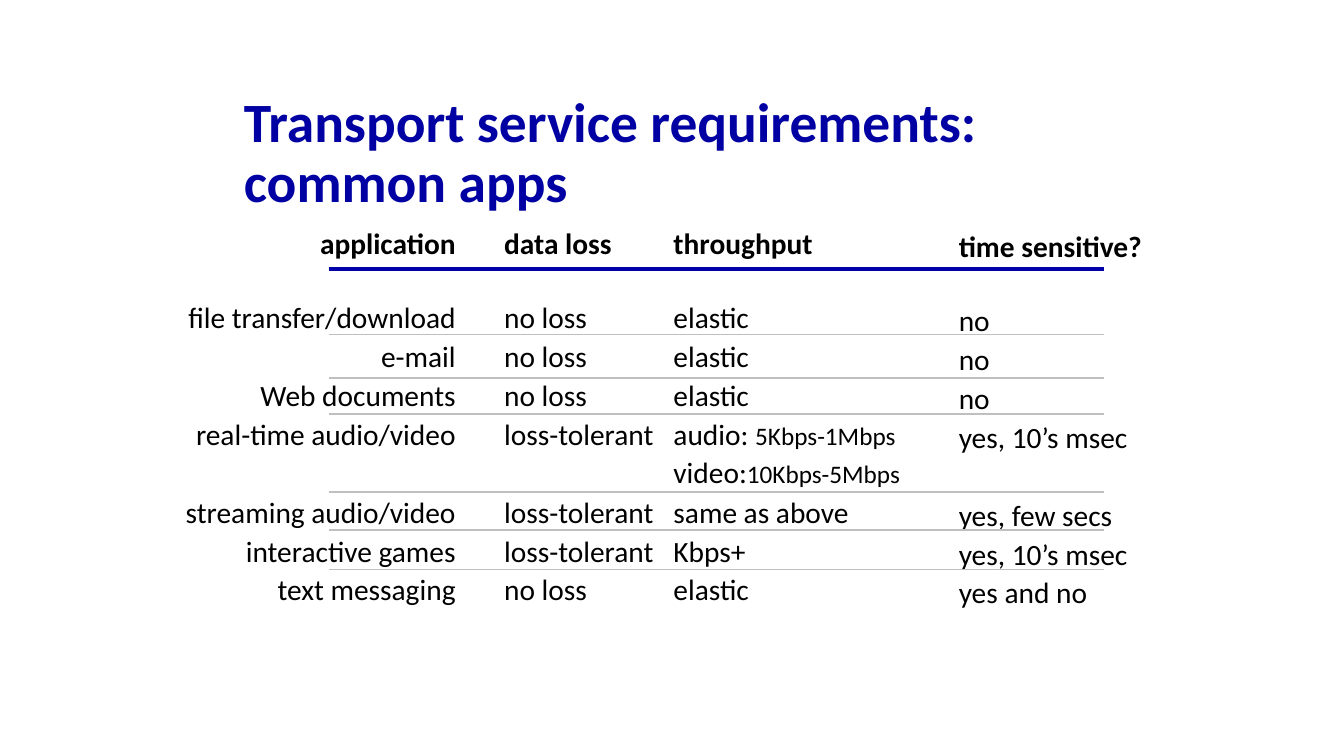
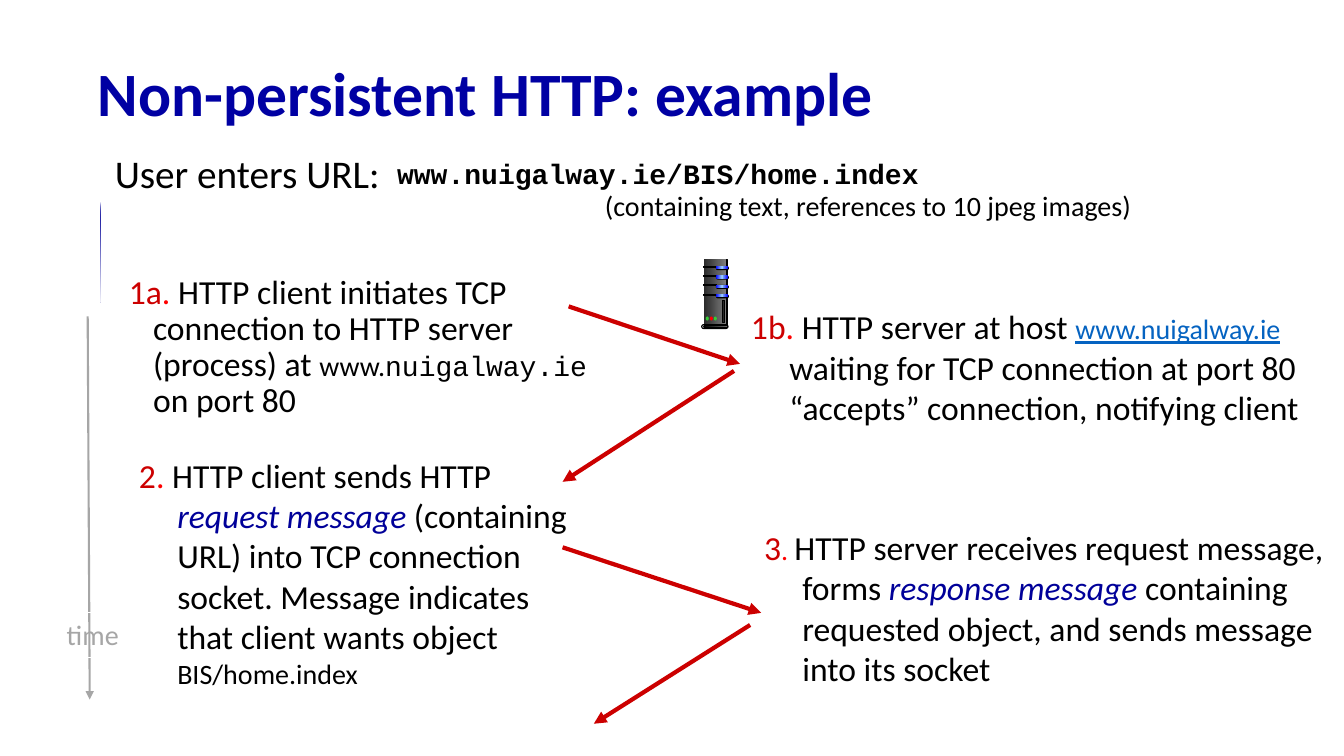
from lxml.etree import SubElement
from pptx import Presentation
from pptx.dml.color import RGBColor
from pptx.enum.shapes import MSO_CONNECTOR, MSO_SHAPE
from pptx.enum.text import MSO_ANCHOR, PP_ALIGN
from pptx.oxml.ns import qn
from pptx.util import Inches, Pt

COLORS = {
    "title": "0000A3", "rule": "0000A8", "row_rule": "BFBFBF", "text": "000000",
    "time": "A6A6A6", "white": "FFFFFF", "step": "CC0000", "dot": "FF0000",
    "term": "000099", "link": "0563C1", "dark": "292929", "edge": "333333",
    "middle": "808080", "light": "DDDDDD", "shine": "F8F8F8",
    "lamp": "0000FF", "lamp_shine": "99CCFF", "green": "33CC33",
}
BASE_FONT = {"name": "Calibri", "size": 24, "color": "text"}
STYLES = {
    "body": {},
    "title": {"size": 44, "bold": True, "color": "title"},
    "long_title": {"size": 39.6, "bold": True, "color": "title"},
    "header": {"size": 21, "bold": True},
    "cell": {"size": 21},
    "rate": {"size": 18},
    "lead": {"size": 28},
    "small": {"size": 20},
    "code": {"size": 20, "name": "Courier New"},
    "url": {"size": 20, "name": "Courier New", "bold": True},
    "link": {"size": 20, "color": "link", "underline": True},
    "step": {"color": "step"},
    "dot": {"color": "dot"},
    "small_dot": {"size": 20, "color": "dot"},
    "term": {"color": "term", "italic": True},
    "time": {"size": 20, "color": "time"},
}

HEADERS = ["application", "data loss", "throughput", "time sensitive?"]
APPLICATIONS = [
    ["file transfer/download", "no loss", "elastic", "no"],
    ["e-mail", "no loss", "elastic", "no"],
    ["Web documents", "no loss", "elastic", "no"],
    ["real-time audio/video", "loss-tolerant",
     [[("audio: ", "cell"), ("5Kbps-1Mbps", "rate")],
      [("video:", "cell"), ("10Kbps-5Mbps", "rate")]], "yes, 10’s msec"],
    ["streaming audio/video", "loss-tolerant", "same as above", "yes, few secs"],
    ["interactive games", "loss-tolerant", "Kbps+", "yes, 10’s msec"],
    ["text messaging", "no loss", "elastic", "yes and no"],
]
TABLE_LEFT, TABLE_TOP = 1.81, 2.25
COLUMN_WIDTHS = [3.19, 1.68, 2.83, 2.31]
HEADER_HEIGHT, LINE_HEIGHT = 0.73, 3.09 / 8
RULE_LEFT, RULE_RIGHT, HEADER_RULE = 3.26, 10.95, 2.67
ROW_RULES = [3.32, 3.75, 4.11, 4.88, 5.26, 5.65]
NO_TABLE_STYLE = "{2D5ABB26-0587-4C30-8999-92F81FD0307C}"

HANGING = {"left": 0.38, "first": -0.38}
BULLETED = {"left": 0.39, "first": -0.24}
EXAMPLE_TEXTS = [
    ((0.89, 1.48, 8.69, 0.51), [("User enters URL:", "lead")],
     {"indent": BULLETED, "line_spacing": 0.9}),
    ((1.03, 2.68, 5.3, 2.08),
     [("1a", "step"), (".", "dot"),
      (" HTTP client initiates TCP connection to HTTP server (process) at ", "body"),
      ("www.", "small"), ("nuigalway.ie ", "code"), ("on port 80", "body")],
     {"indent": BULLETED, "line_spacing": 0.9}),
    ((1.28, 4.46, 4.61, 1.18),
     [("2", "step"), (".", "dot"), (" HTTP client sends HTTP ", "body"),
      ("request message", "term"),
      (" (containing URL) into TCP connection socket. Message indicates that client "
       "wants object ", "body"), ("BIS/home.index", "small")],
     {"indent": HANGING}),
    ((7.35, 2.99, 5.89, 1.65),
     [("1b", "step"), (".", "dot"), (" HTTP server at host ", "body"),
      ("www.nuigalway.ie", "link"), (" ", "small"),
      ("waiting for TCP connection at port 80 “accepts” connection, notifying client",
       "body")],
     {"indent": HANGING}),
    ((7.48, 5.18, 5.9, 1.97),
     [("3", "step"), (". ", "small_dot"),
      ("HTTP server receives request message, forms ", "body"),
      ("response message", "term"),
      (" containing requested object, and sends message into its socket", "body")],
     {"indent": HANGING}),
    ((5.12, 1.82, 6.98, 0.44),
     [("(containing text, references to 10 jpeg images)", "small")],
     {"alignment": PP_ALIGN.CENTER}),
    ((3.84, 1.55, 8.69, 0.51), [("www.nuigalway.ie/BIS/home.index", "url")],
     {"indent": HANGING, "line_spacing": 0.85}),
]
MESSAGES = [
    ((5.64, 3.04), (7.34, 3.61)), ((7.28, 3.68), (5.58, 4.78)),
    ((5.58, 5.43), (7.55, 6.08)), ((7.44, 6.2), (5.89, 7.18)),
]
CLIENT = [(1.19, 2.33), (0.84, 2.34), (0.77, 2.62), (1.1, 2.7)]

SERVER_SIDE = [(7.22, 2.57), (7.27, 2.65), (7.27, 3.21), (7.21, 3.24)]
SERVER_SHINE = [(7.22, 2.61), (7.26, 2.66), (7.24, 2.9), (7.22, 3.22)]
SERVER_FOOT = [(7.22, 3.23), (7.22, 3.26), (7.27, 3.23), (7.27, 3.21)]
SLOT_TOPS = [2.64 + 0.28 / 3 * slot for slot in range(4)]
LIGHTS = ["green", "dot", "green"]


def color(name):
    return RGBColor.from_string(COLORS[name])


def add_runs(paragraph, runs):
    for text, style in runs:
        run = paragraph.add_run()
        run.text = text
        for attribute, value in {**BASE_FONT, **STYLES[style]}.items():
            if attribute == "color":
                run.font.color.rgb = color(value)
            else:
                setattr(run.font, attribute, Pt(value) if attribute == "size" else value)


def add_text(slide, box, runs, indent=None, anchor=MSO_ANCHOR.TOP, wrap=True, **formats):
    text_box = slide.shapes.add_textbox(*map(Inches, box))
    frame = text_box.text_frame
    frame.word_wrap = wrap
    frame.vertical_anchor = anchor
    paragraph = frame.paragraphs[0]
    if indent:
        properties = paragraph._p.get_or_add_pPr()
        properties.set("marL", str(Inches(indent["left"])))
        properties.set("indent", str(Inches(indent["first"])))
    for attribute, value in formats.items():
        setattr(paragraph, attribute, value)
    add_runs(paragraph, runs)
    return text_box


def add_title(slide, box, text, style="title"):
    add_text(slide, box, [(text, style)], anchor=MSO_ANCHOR.MIDDLE, line_spacing=0.9)


def add_line(slide, start, end, line_color, width, arrow=False):
    line = slide.shapes.add_connector(MSO_CONNECTOR.STRAIGHT, *map(Inches, start + end))
    line.line.color.rgb = color(line_color)
    line.line.width = Pt(width)
    if arrow:
        SubElement(line.line._get_or_add_ln(), qn("a:tailEnd"), type="triangle")
    SubElement(line._element.spPr, qn("a:effectLst"))


def paint(shape, fills, angle=0, outline=None):
    shape.shadow.inherit = False
    if len(fills) == 1:
        shape.fill.solid()
        shape.fill.fore_color.rgb = color(fills[0])
    else:
        shape.fill.gradient()
        gradient = shape._element.spPr.find(qn("a:gradFill"))
        stops = gradient.find(qn("a:gsLst"))
        for stop in list(stops):
            stops.remove(stop)
        for index, name in enumerate(fills):
            position = str(100000 * index // (len(fills) - 1))
            stop = SubElement(stops, qn("a:gs"), pos=position)
            SubElement(stop, qn("a:srgbClr"), val=COLORS[name])
        gradient.find(qn("a:lin")).set("ang", str(angle * 60000))
    if outline:
        shape.line.color.rgb = color(outline)
        shape.line.width = Pt(0.75)
    else:
        shape.line.fill.background()


def add_polygon(shapes, points, fills, angle=0):
    builder = shapes.build_freeform(*points[0], scale=Inches(1))
    builder.add_line_segments(points[1:], close=True)
    paint(builder.convert_to_shape(), fills, angle)


def add_part(shapes, kind, box, fills, outline=None):
    shape = shapes.add_shape(kind, *map(Inches, box))
    if kind == MSO_SHAPE.ROUNDED_RECTANGLE:
        shape.adjustments[0] = 0.5
    paint(shape, fills, outline=outline)


def add_server(slide):
    parts = slide.shapes.add_group_shape().shapes
    bar, pill, dot = MSO_SHAPE.RECTANGLE, MSO_SHAPE.ROUNDED_RECTANGLE, MSO_SHAPE.OVAL
    add_polygon(parts, SERVER_SIDE, ["light", "edge"])
    add_part(parts, bar, (6.98, 2.57, 0.23, 0.67), ["dark", "middle"])
    add_polygon(parts, SERVER_SHINE, ["middle", "shine"])
    add_part(parts, bar, (7.21, 2.57, 0.01, 0.67), ["edge", "light", "edge"], "text")
    for top in SLOT_TOPS:
        add_part(parts, bar, (6.98, top, 0.13, 0.01), ["text"], "text")
        add_part(parts, pill, (7.1, top, 0.13, 0.04), ["text"])
        add_part(parts, pill, (7.1, top, 0.12, 0.03), ["lamp", "lamp_shine", "lamp"])
        vent = [(7.22, top), (7.27, top + 0.03), (7.27, top + 0.06), (7.22, top + 0.02)]
        add_polygon(parts, vent, ["dark", "middle"])
    add_polygon(parts, SERVER_FOOT, ["edge"])
    add_part(parts, pill, (6.96, 3.22, 0.26, 0.04), ["light"], "text")
    add_part(parts, pill, (6.98, 3.23, 0.24, 0.02), ["text", "middle"], "text")
    for index, light in enumerate(LIGHTS):
        add_part(parts, dot, (7 + 0.04 * index, 3.14, 0.03, 0.04), [light])
    add_part(parts, bar, (7.17, 2.98, 0.02, 0.22), ["dark"], "text")


def fill_cell(cell, content, style, column):
    margins = {"margin_left": 0, "margin_right": 0.48 if column == 0 else 0,
               "margin_top": 0.03 if column == 3 else 0, "margin_bottom": 0}
    for attribute, value in margins.items():
        setattr(cell, attribute, Inches(value))
    cell.fill.background()
    lines = [[(content, style)]] if isinstance(content, str) else content
    for index, runs in enumerate(lines):
        paragraph = cell.text_frame.add_paragraph() if index else cell.text_frame.paragraphs[0]
        paragraph.alignment = PP_ALIGN.LEFT if column else PP_ALIGN.RIGHT
        if index:
            paragraph.space_before = Pt(2)
        add_runs(paragraph, runs)


def add_requirements_table(slide):
    rows = [HEADERS] + APPLICATIONS
    line_counts = [max(1 if isinstance(cell, str) else len(cell) for cell in row)
                   for row in APPLICATIONS]
    heights = [HEADER_HEIGHT] + [LINE_HEIGHT * count for count in line_counts]
    box = (TABLE_LEFT, TABLE_TOP, sum(COLUMN_WIDTHS), sum(heights))
    table = slide.shapes.add_table(len(rows), len(HEADERS), *map(Inches, box)).table
    table.first_row = table.horz_banding = False
    table._tbl.tblPr.find(qn("a:tableStyleId")).text = NO_TABLE_STYLE
    for column, width in zip(table.columns, COLUMN_WIDTHS):
        column.width = Inches(width)
    for row_index, (row, height) in enumerate(zip(rows, heights)):
        table.rows[row_index].height = Inches(height)
        for column_index, content in enumerate(row):
            style = "cell" if row_index else "header"
            fill_cell(table.cell(row_index, column_index), content, style, column_index)


def build_requirements(slide):
    add_title(slide, (2.32, 1.17, 8.62, 0.73),
              "Transport service requirements: common apps", "long_title")
    add_requirements_table(slide)
    add_line(slide, (RULE_LEFT, HEADER_RULE), (RULE_RIGHT, HEADER_RULE), "rule", 2.5)
    for top in ROW_RULES:
        add_line(slide, (RULE_LEFT, top), (RULE_RIGHT, top), "row_rule", 1.25)


def build_example(slide):
    add_title(slide, (0.87, 0.47, 11.5, 0.98), "Non-persistent HTTP: example")
    add_line(slide, (0.87, 3.14), (0.89, 6.94), "time", 1.5, arrow=True)
    time_label = add_text(slide, (0.55, 6.08, 0.74, 0.44), [("time", "time")],
                          wrap=False, alignment=PP_ALIGN.CENTER)
    time_label.line.color.rgb = color("white")
    time_label.line.width = Pt(0.75)
    for box, runs, formats in EXAMPLE_TEXTS:
        add_text(slide, box, runs, **formats)
    for start, end in MESSAGES:
        add_line(slide, start, end, "step", 3, arrow=True)
    add_polygon(slide.shapes, CLIENT, ["term", "white"], angle=135)
    add_server(slide)


def main():
    presentation = Presentation()
    presentation.slide_width = Inches(13.33)
    presentation.slide_height = Inches(7.5)
    for build in (build_requirements, build_example):
        build(presentation.slides.add_slide(presentation.slide_layouts[6]))
    presentation.save("out.pptx")


if __name__ == "__main__":
    main()
